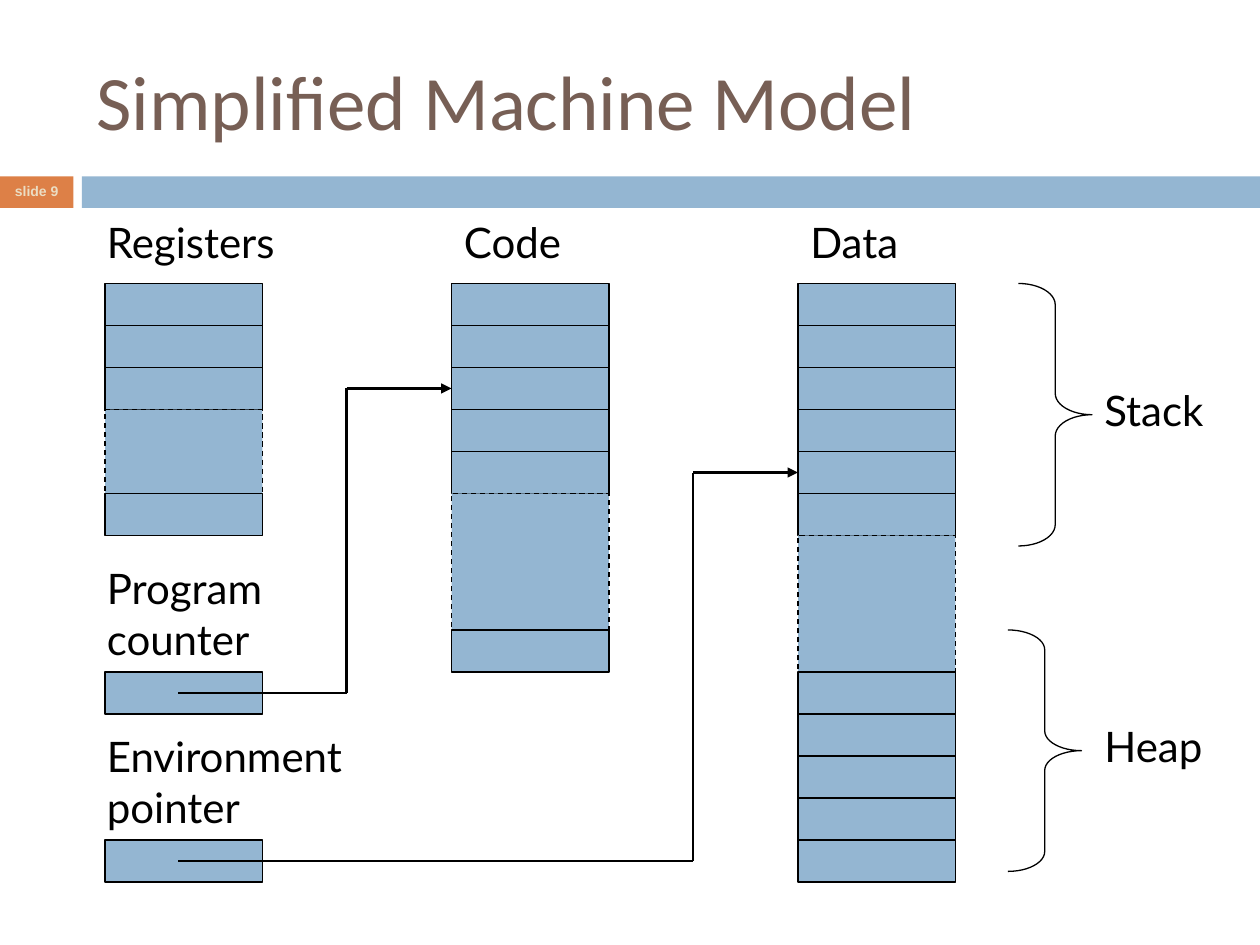
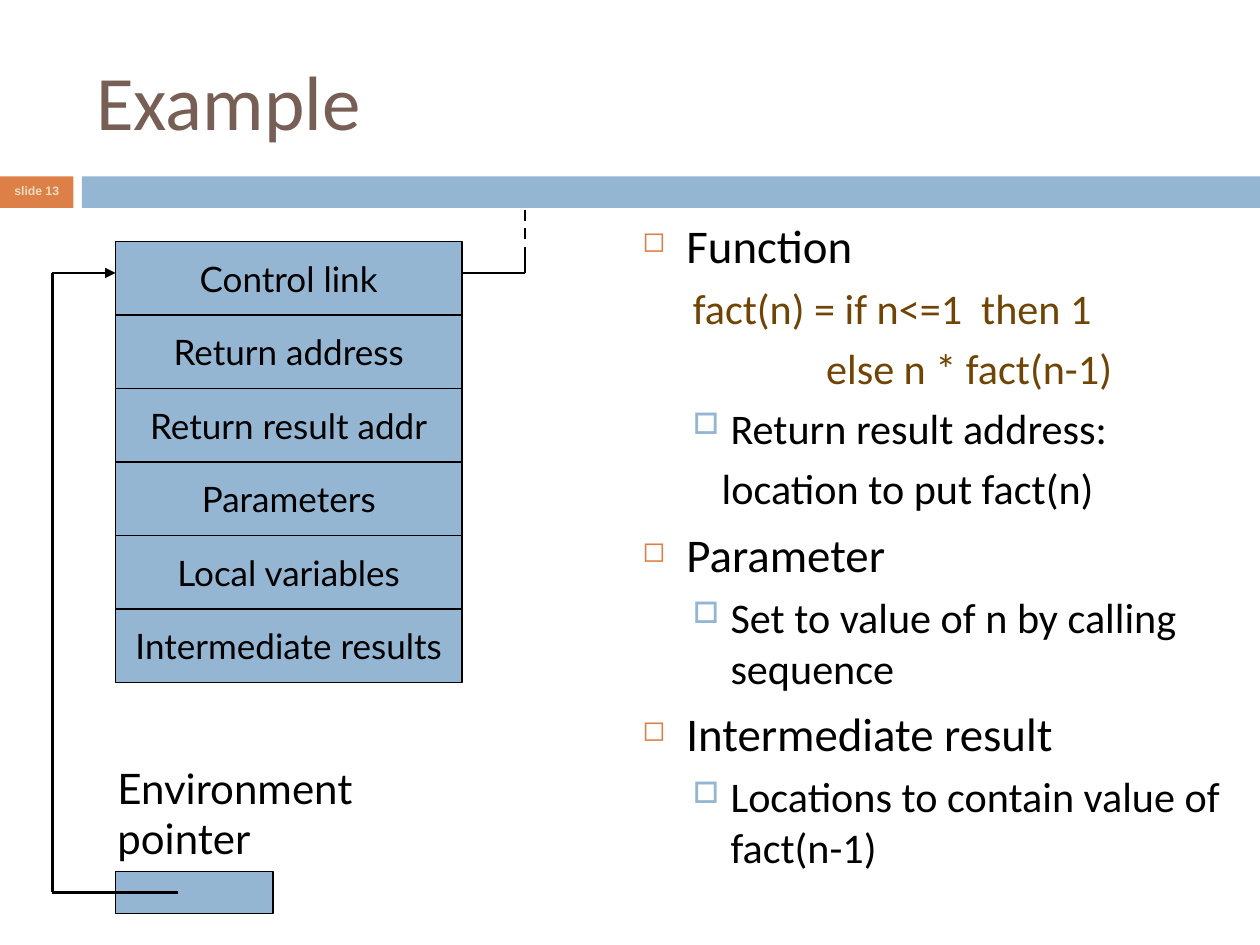
from dataclasses import dataclass
from itertools import pairwise

from lxml import etree
from pptx import Presentation
from pptx.dml.color import RGBColor
from pptx.enum.dml import MSO_LINE
from pptx.enum.shapes import MSO_CONNECTOR, MSO_SHAPE
from pptx.enum.text import MSO_ANCHOR, PP_ALIGN
from pptx.oxml.ns import qn
from pptx.util import Inches, Pt

RECT, BRACE = MSO_SHAPE.RECTANGLE, MSO_SHAPE.RIGHT_BRACE
STRAIGHT = MSO_CONNECTOR.STRAIGHT
DASH = MSO_LINE.DASH
MIDDLE, CENTER = MSO_ANCHOR.MIDDLE, PP_ALIGN.CENTER

# The slide is a grid of 120 columns by 90 rows, twelve to the inch
COLUMNS, ROWS = 120, 90
WORD_W, WORD_H = 15, 4  # one memory word
FIELD_H = 7             # one field of an activation record


@dataclass(frozen=True)
class Theme:
    title: str = "775F55"
    accent: str = "DD8047"
    block: str = "94B6D2"
    number: str = "EBDDC3"
    ink: str = "000000"
    code: str = "704404"
    heading_font: str = "Calibri"
    label_font: str = "Lato"
    number_font: str = "Arial"
    title_size: float = 44
    label_size: float = 24
    field_size: float = 20
    topic_size: float = 26.8
    detail_size: float = 24.1
    border: float = 0.75
    wire: float = 1.5


@dataclass(frozen=True)
class Box:
    left: float
    top: float
    width: float
    height: float

    def emu(self):
        return [grid(v) for v in (self.left, self.top, self.width, self.height)]


@dataclass(frozen=True)
class Level:
    size: float
    before: float
    margin: float
    hang: float
    bullet: str = ""
    bullet_color: str = ""
    bullet_share: int = 100
    color: str = Theme.ink


THEME = Theme()
TOPIC = Level(THEME.topic_size, 7, 0.35, -0.35, "◻", THEME.accent, 60)
DETAIL = Level(THEME.detail_size, 5.5, 0.7, -0.3, "□", THEME.block, 70)
CODE = Level(THEME.detail_size, 5.5, 0.7, -0.3, color=THEME.code)
REMARK = Level(THEME.detail_size, 5.5, 0.7, -0.07)


def grid(units):
    return Inches(units / 12)


def rgb(color):
    return RGBColor.from_string(color)


def style(paragraph, font, size, color, bold=False):
    paragraph.font.name = font
    paragraph.font.size = Pt(size)
    paragraph.font.bold = bold
    paragraph.font.color.rgb = rgb(color)


def block(slide, box, fill=THEME.block, border=True, dashed=False):
    shape = slide.shapes.add_shape(RECT, *box.emu())
    shape.shadow.inherit = False
    shape.fill.solid()
    shape.fill.fore_color.rgb = rgb(fill)
    if border:
        shape.line.color.rgb = rgb(THEME.ink)
        shape.line.width = Pt(THEME.border)
        if dashed:
            shape.line.dash_style = DASH
    else:
        shape.line.fill.background()
    return shape


def centred_text(shape, text, font, size, color, bold=False):
    frame = shape.text_frame
    frame.word_wrap = False
    frame.vertical_anchor = MIDDLE
    paragraph = frame.paragraphs[0]
    paragraph.text = text
    paragraph.alignment = CENTER
    style(paragraph, font, size, color, bold)
    return paragraph


def text_area(slide, box):
    frame = slide.shapes.add_textbox(*box.emu()).text_frame
    frame.word_wrap = True
    return frame


def label(slide, text, box):
    paragraph = text_area(slide, box).paragraphs[0]
    paragraph.text = text
    style(paragraph, THEME.label_font, THEME.label_size, THEME.ink)


def wire(slide, points, arrow=False, dashed=False):
    """Join grid points with straight lines, the last with an arrowhead."""
    for start, end in pairwise(points):
        line = slide.shapes.add_connector(STRAIGHT, *map(grid, start + end))
        line.line.color.rgb = rgb(THEME.ink)
        line.line.width = Pt(THEME.wire)
        if dashed:
            line.line.dash_style = DASH
        if arrow and end == points[-1]:
            etree.SubElement(line.line._get_or_add_ln(), qn("a:tailEnd"), type="triangle")
        etree.SubElement(line._element.spPr, qn("a:effectLst"))


def base_slide(deck, title, number, number_size):
    slide = deck.slides.add_slide(deck.slide_layouts[6])
    # Band with the slide number
    tab = block(slide, Box(0, 16.8, 7, 3), THEME.accent, border=False)
    paragraph = centred_text(tab, number, THEME.number_font, number_size,
                             THEME.number, bold=True)
    paragraph.line_spacing = 0.8
    block(slide, Box(7.8, 16.8, COLUMNS - 7.8, 3), border=False)
    # Title
    frame = text_area(slide, Box(8, 3, 107, 13))
    frame.vertical_anchor = MIDDLE
    frame.paragraphs[0].text = title
    style(frame.paragraphs[0], THEME.heading_font, THEME.title_size, THEME.title)
    return slide


def memory(slide, name, left, top, words_above, gap, words_below):
    """A headed column of words, with a dashed gap for those left out."""
    label(slide, name, Box(left - (name == "Registers"), top - 7, 25, 6))
    heights = [WORD_H] * words_above + [gap] + [WORD_H] * words_below
    for index, height in enumerate(heights):
        block(slide, Box(left, top, WORD_W, height), dashed=index == words_above)
        top += height


def pointer(slide, name, left, top):
    """A named word; gives the point inside it where its wire starts."""
    label(slide, name, Box(left - 1, top - 11, 25, 10.8))
    block(slide, Box(left, top, WORD_W, WORD_H))
    return left, top + WORD_H / 2


def brace(slide, box, name, name_top, curl):
    shape = slide.shapes.add_shape(BRACE, *box.emu())
    shape.shadow.inherit = False
    shape.fill.background()
    shape.line.color.rgb = rgb(THEME.ink)
    shape.line.width = Pt(THEME.border)
    shape.adjustments[0] = curl
    label(slide, name, Box(104, name_top, 13, 6))


def activation_record(slide, box, fields):
    for row, field in enumerate(fields):
        cell = block(slide, Box(box.left, box.top + row * box.height / len(fields),
                                box.width, box.height / len(fields)))
        centred_text(cell, field, THEME.label_font, THEME.field_size, THEME.ink)


def add_bullet(paragraph, level):
    properties = paragraph._p.get_or_add_pPr()
    properties.set("marL", str(Inches(level.margin)))
    properties.set("indent", str(Inches(level.hang)))
    if not level.bullet:
        etree.SubElement(properties, qn("a:buNone"))
        return
    color = etree.SubElement(properties, qn("a:buClr"))
    etree.SubElement(color, qn("a:srgbClr"), val=level.bullet_color)
    etree.SubElement(properties, qn("a:buSzPct"), val=str(level.bullet_share * 1000))
    etree.SubElement(properties, qn("a:buChar"), char=level.bullet)


def outline(slide, box, items):
    frame = text_area(slide, box)
    for index, (level, text) in enumerate(items):
        paragraph = frame.add_paragraph() if index else frame.paragraphs[0]
        paragraph.text = text
        add_bullet(paragraph, level)
        if index:
            paragraph.space_before = Pt(level.before)
        style(paragraph, THEME.heading_font, level.size, level.color)


def machine_model_slide(deck):
    slide = base_slide(deck, "Simplified Machine Model", "slide 9", 8)
    registers, code, data = (10 + 33 * column for column in range(3))
    top = 27
    # Memory columns
    memory(slide, "Registers", registers, top, 3, 8, 1)
    memory(slide, "Code", code, top, 5, 13, 1)
    memory(slide, "Data", data, top, 6, 13, 5)
    # Parts of the data column
    brace(slide, Box(97, top, 7, 25), "Stack", 36, 0.29)
    brace(slide, Box(96, 60, 7, 23), "Heap", 68, 0.27)
    # Pointers into code and data
    for name, row, target, word in (("Program counter", 64, code, 2.5),
                                    ("Environment pointer", 80, data, 4.5)):
        left, middle = pointer(slide, name, registers, row)
        bend, goal = target - 10, top + word * WORD_H
        wire(slide, [(left + 7, middle), (bend, middle), (bend, goal), (target, goal)],
             arrow=True)


def example_slide(deck):
    slide = base_slide(deck, "Example", "slide 13", 7)
    # Activation record
    fields = ["Control link", "Return address", "Return result addr",
              "Parameters", "Local variables", "Intermediate results"]
    record = Box(11, 23, 33, FIELD_H * len(fields))
    activation_record(slide, record, fields)
    # Environment pointer to the record
    left, middle = pointer(slide, "Environment pointer", record.left, 83)
    bend, link = left - 6, record.top + 3
    wire(slide, [(left + 6, middle), (bend, middle), (bend, link), (left, link)],
         arrow=True)
    # Control link to the caller's record
    right = record.left + record.width
    wire(slide, [(right, link), (right + 6, link), (right + 6, link - 2)])
    wire(slide, [(right + 6, link - 6), (right + 6, link - 2)], dashed=True)
    # Explanation
    outline(slide, Box(COLUMNS / 2, 20, COLUMNS / 2, 66), [
        (TOPIC, "Function"),
        (CODE, "fact(n) = if n<=1  then 1"),
        (CODE, "              else n * fact(n-1)"),
        (DETAIL, "Return result address:"),
        (REMARK, "location to put fact(n)"),
        (TOPIC, "Parameter"),
        (DETAIL, "Set to value of n by calling sequence"),
        (TOPIC, "Intermediate result"),
        (DETAIL, "Locations to contain value of fact(n-1)"),
    ])


def main():
    deck = Presentation()
    deck.slide_width, deck.slide_height = grid(COLUMNS), grid(ROWS)
    machine_model_slide(deck)
    example_slide(deck)
    deck.save("out.pptx")


if __name__ == "__main__":
    main()
